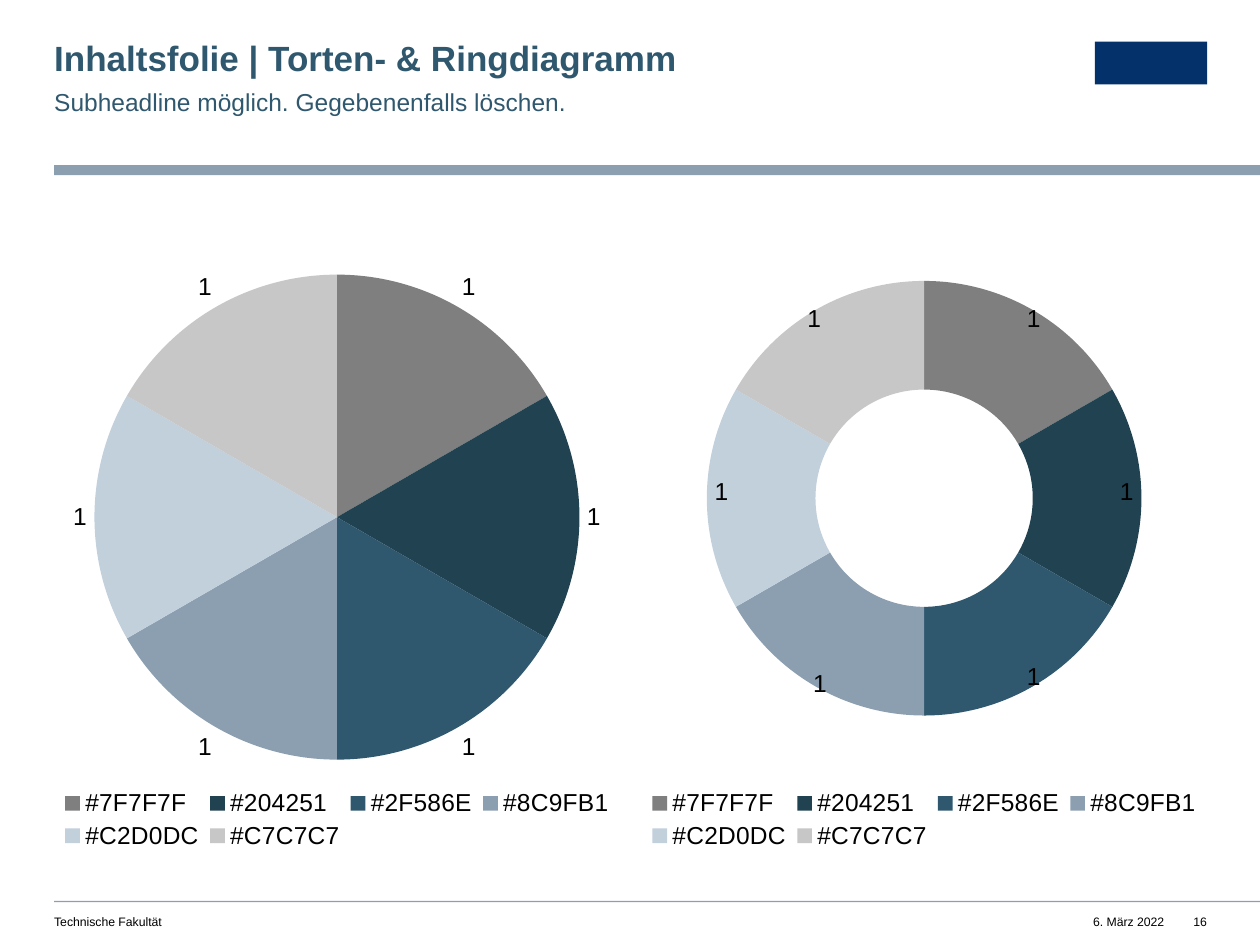
from lxml.etree import SubElement as Sub
from pptx import Presentation
from pptx.chart.data import CategoryChartData as Data
from pptx.dml.color import RGBColor as RGB
from pptx.enum.chart import XL_CHART_TYPE as Kind, XL_LABEL_POSITION as Spot
from pptx.enum.chart import XL_LEGEND_POSITION as Side
from pptx.enum.shapes import MSO_SHAPE as Form
from pptx.enum.text import MSO_ANCHOR as Anchor, MSO_AUTO_SIZE as Fit, PP_ALIGN as Align
from pptx.oxml.ns import qn
from pptx.util import Inches, Pt

# Content
TITLE = "Inhaltsfolie | Torten- & Ringdiagramm"
SUB = "Subheadline möglich. Gegebenenfalls löschen."
CATS = ["#7F7F7F", "#204251", "#2F586E", "#8C9FB1", "#C2D0DC", "#C7C7C7"]
VALS = [1] * len(CATS)
FOOT = [  # text, left, width, alignment
    ("Technische Fakultät", 0.43, 4.49, Align.LEFT),
    ("6. März 2022", 8.34, 0.9, Align.RIGHT),
    ("16", 9.28, 0.3, Align.RIGHT),
]

# Chart parts, as shares of the chart area: x, y, width, height
PIE = (0.07, 0.08, 0.86, 0.77)
RING = (0.11, 0.09, 0.78, 0.69)
KEYS = (0, 0.89, 1, 0.11)
SHIFT = [(0.05, -0.06), (0.07, -0.01), (0.05, 0.06),
         (-0.04, 0.07), (-0.07, -0.01), (-0.05, -0.06)]

# Theme and grid
THEME = {
    "font": "Arial", "ink": "000000", "head": "2F586E", "bar": "8C9FB1", "mark": "04316A",
    "title": 20, "sub": 14, "chart": 14, "foot": 7,
}
LEFT, GAP, WIDE = 0.43, 0.17, 4.49
TOP, HIGH = 1.78, 5


def apply(obj, form):
    for key, val in form.items():
        setattr(obj, key, val)


def style(font, size, tone="ink", bold=False):
    apply(font, {"name": THEME["font"], "size": Pt(THEME[size]), "bold": bold})
    font.color.rgb = RGB.from_string(THEME[tone])


def place(shape, *box):
    apply(shape, dict(zip(("left", "top", "width", "height"), map(Inches, box))))


def write(shape, text, size, tone="ink", bold=False, right=0, **para):
    frame = shape.text_frame
    apply(frame, {
        "margin_left": 0, "margin_top": 0, "margin_right": Inches(right), "margin_bottom": 0,
        "word_wrap": True, "auto_size": Fit.NONE, "vertical_anchor": Anchor.TOP, "text": text,
    })
    line = frame.paragraphs[0]
    apply(line, {"alignment": Align.LEFT, "space_before": Pt(0), **para})
    style(line.runs[0].font, size, tone, bold)
    return line


def block(slide, tone, *box):
    shape = slide.shapes.add_shape(Form.RECTANGLE, *map(Inches, box))
    shape.shadow.inherit = False
    shape.fill.solid()
    shape.fill.fore_color.rgb = RGB.from_string(THEME[tone])
    shape.line.fill.background()


def layout(part, spot, vals, **modes):
    """Give a chart part a manual layout as its child number spot."""
    for old in part.findall(qn("c:layout")):
        part.remove(old)
    lay = Sub(part, qn("c:layout"))
    man = Sub(lay, qn("c:manualLayout"))
    for key, val in {**modes, **dict(zip("xywh", vals))}.items():
        Sub(man, qn("c:" + key), val=str(val))
    part.insert(spot, lay)


def draw(slide, kind, col, plan):
    data = Data()
    data.categories = CATS
    data.add_series("Series 1", VALS)
    box = (LEFT + col * (WIDE + GAP), TOP, WIDE, HIGH)
    chart = slide.shapes.add_chart(kind, *map(Inches, box), data).chart
    apply(chart, {"has_title": False, "has_legend": True})
    style(chart.font, "chart")
    apply(chart.legend, {"position": Side.BOTTOM, "include_in_layout": False})
    style(chart.legend.font, "chart")
    plot = chart.plots[0]
    apply(plot, {"vary_by_categories": True, "has_data_labels": True})
    ser = plot.series[0]
    apply(ser.data_labels, {"show_value": True, "show_percentage": False})
    style(ser.data_labels.font, "chart")
    for i, cat in enumerate(CATS):
        fill = ser.points[i].format.fill
        fill.solid()
        fill.fore_color.rgb = RGB.from_string(cat[1:])
    root = chart._chartSpace
    edge = {"xMode": "edge", "yMode": "edge"}
    layout(root.find(".//" + qn("c:plotArea")), 0, plan, layoutTarget="inner", **edge)
    layout(root.find(".//" + qn("c:legend")), 1, KEYS, **edge)
    return root, ser


prs = Presentation()
apply(prs, {"slide_width": Inches(10), "slide_height": Inches(7.5)})
slide = prs.slides.add_slide(prs.slide_layouts[1])

# Bars and a plain block for the emblem
block(slide, "bar", LEFT, 1.31, 9.57, 0.08)
block(slide, "bar", LEFT, 7.15, 9.57, 0.01)
block(slide, "mark", 8.69, 0.33, 0.89, 0.34)

# Headings
head, body = slide.placeholders
place(head, LEFT, 0.33, 5.61, 0.3)
write(head, TITLE, "title", "head", True, line_spacing=0.9)
place(body, LEFT, 0.67, 5.61, 0.24)
line = write(body, SUB, "sub", "head", right=0.39, line_spacing=1.1, space_after=Pt(8))
props = line._p.get_or_add_pPr()
props.set("marL", "0")
props.set("indent", "0")
Sub(props, qn("a:buNone"))

# Pie
root, ser = draw(slide, Kind.PIE, 0, PIE)
ser.data_labels.position = Spot.OUTSIDE_END

# Ring with labels moved outwards
root, ser = draw(slide, Kind.DOUGHNUT, 1, RING)
root.find(".//" + qn("c:holeSize")).set("val", "80")
for i in range(len(SHIFT)):
    style(ser.points[i].data_label.font, "chart")
for tag, move in zip(ser._element.iter(qn("c:dLbl")), SHIFT):
    layout(tag, 1, move)

# Footer
for text, left, width, side in FOOT:
    box = slide.shapes.add_textbox(*map(Inches, (left, 7.26, width, 0.12)))
    write(box, text, "foot", alignment=side)

prs.save("out.pptx")
